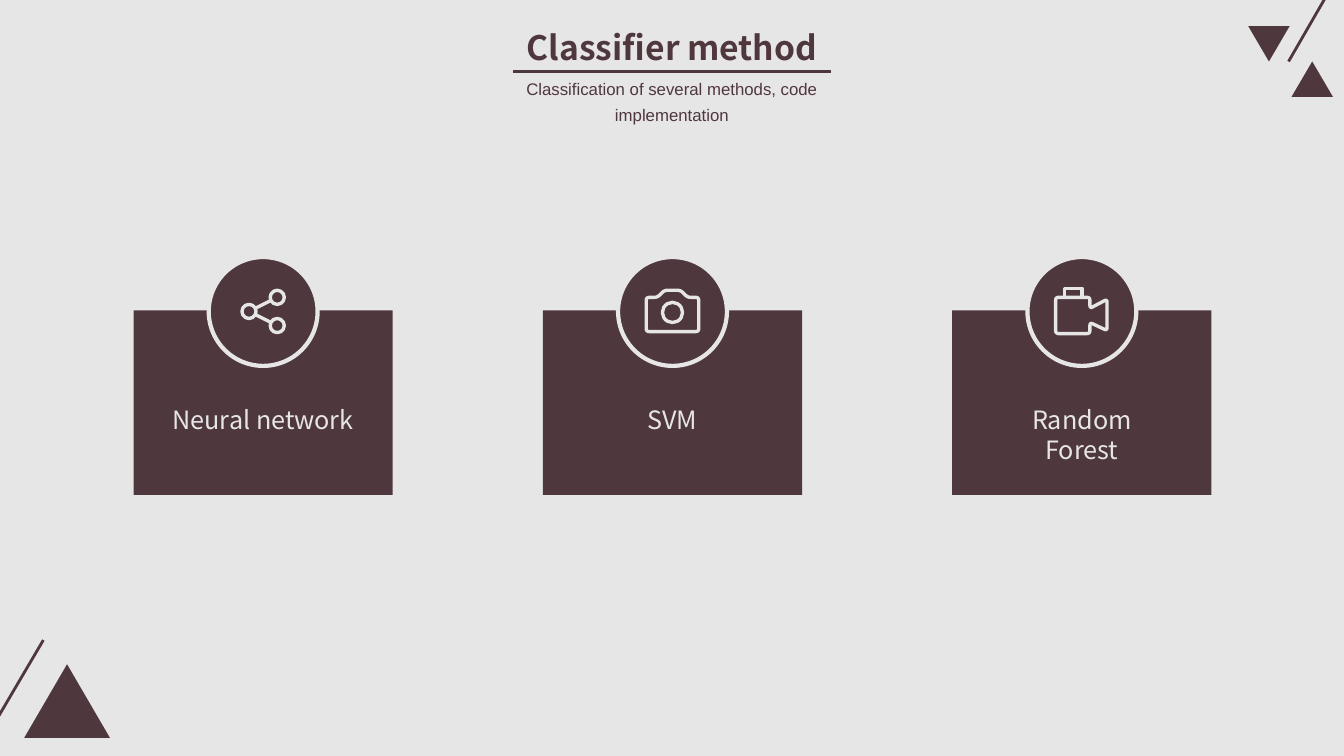
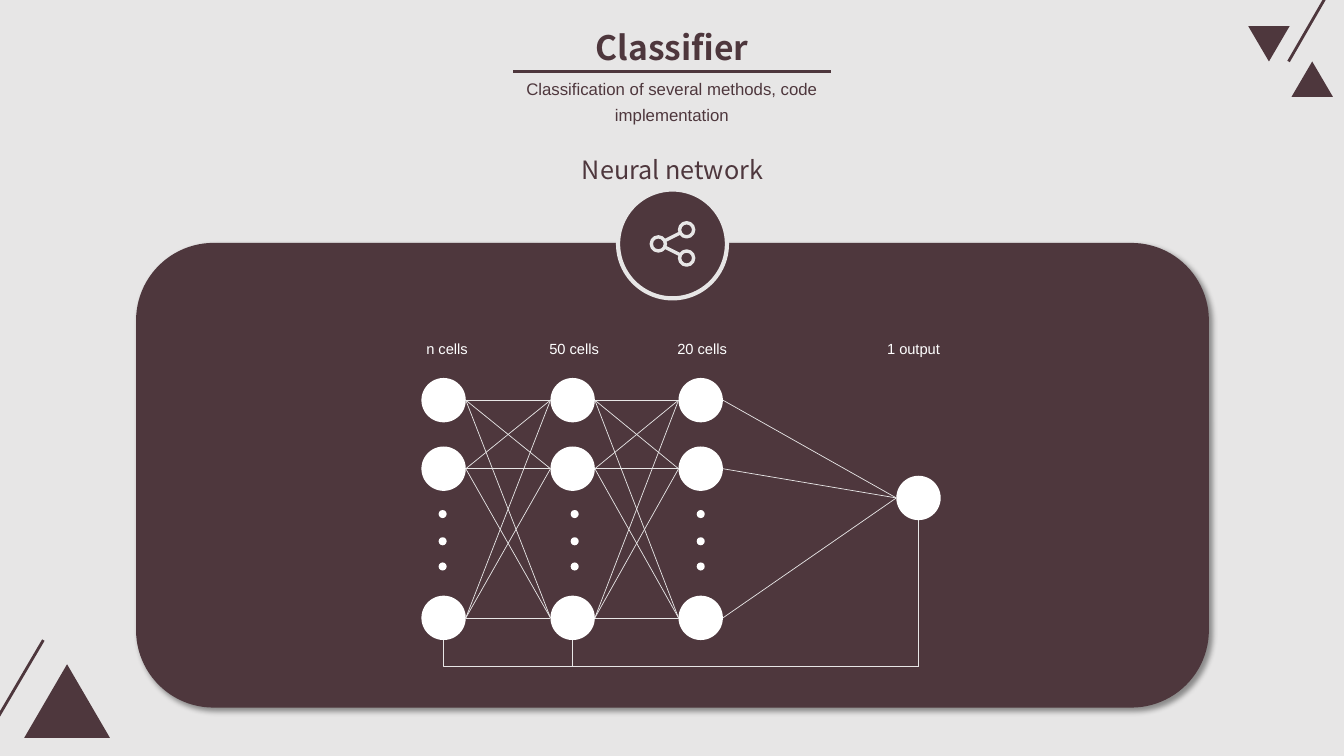
from dataclasses import dataclass
from itertools import pairwise, product

from lxml.etree import SubElement
from pptx import Presentation
from pptx.dml.color import RGBColor
from pptx.enum.shapes import MSO_CONNECTOR as Link, MSO_SHAPE as Preset
from pptx.enum.text import PP_ALIGN as Align
from pptx.oxml.ns import qn
from pptx.util import Inches, Pt


@dataclass(frozen=True)
class Theme:
    dark: str = "4E373D"
    light: str = "E7E6E6"
    white: str = "FFFFFF"
    heading_font: str = "Noto Sans CJK SC"
    body_font: str = "Arial"
    title_size: float = 24
    label_size: float = 18
    subtitle_size: float = 12
    cell_size: float = 10.5
    rule_width: float = 2
    ring_width: float = 3
    icon_width: float = 2.4
    link_width: float = 0.5


THEME = Theme()
CENTER = 6.67
BADGE_SIZE = 1.08
NODE_SIZE = 0.44
DOT_SIZE = 0.08

# Icon outlines, as offsets from the badge centre
CAMERA_BODY = [(-0.26, -0.14), (-0.15, -0.14), (-0.08, -0.21), (0.08, -0.21),
               (0.15, -0.14), (0.26, -0.14), (0.26, 0.2), (-0.26, 0.2)]
VIDEO_BODY = [(-0.26, -0.14), (0.08, -0.14), (0.08, -0.03), (0.25, -0.12),
              (0.25, 0.19), (0.08, 0.11), (0.08, 0.22), (-0.26, 0.22)]
VIDEO_HANDLE = [(-0.17, -0.14), (-0.17, -0.23), (0, -0.23), (0, -0.14)]
SHARE_HUB = (-0.14, 0)
SHARE_ENDS = [(0.14, -0.14), (0.14, 0.14)]

# Network: node centre, dot centre, label and label left of each layer
LAYERS = [(4.4, 4.39, "n cells", 4.13),
          (5.68, 5.7, "50 cells", 5.35),
          (6.95, 6.95, "20 cells", 6.62)]
ROWS = [3.97, 4.65, 6.13]
DOT_ROWS = [5.1, 5.37, 5.62]
OUTPUT = (9.11, 4.94)
FEEDBACK_DROP = 0.26


def color(value):
    return RGBColor.from_string(value)


# Basic elements
def style_shape(shape, fill=None, line=None, line_width=0):
    shape.shadow.inherit = False
    if fill:
        shape.fill.solid()
        shape.fill.fore_color.rgb = color(fill)
    else:
        shape.fill.background()
    if line:
        shape.line.color.rgb = color(line)
        shape.line.width = Pt(line_width)
    else:
        shape.line.fill.background()
    return shape


def add_preset(slide, preset, left, top, width, height, **style):
    shape = slide.shapes.add_shape(
        preset, Inches(left), Inches(top), Inches(width), Inches(height))
    return style_shape(shape, **style)


def add_circle(slide, x, y, size, **style):
    return add_preset(slide, Preset.OVAL, x - size / 2, y - size / 2, size, size, **style)


def add_line(slide, start, end, line, line_width, kind=Link.STRAIGHT):
    connector = slide.shapes.add_connector(kind, *map(Inches, (*start, *end)))
    connector.line.color.rgb = color(line)
    connector.line.width = Pt(line_width)
    SubElement(connector._element.spPr, qn("a:effectLst"))
    return connector


def add_feedback(slide, start, end):
    """Elbow that drops below its start, runs right and rises to its end."""
    run, rise = end[0] - start[0], start[1] - end[1]
    x, y = (start[0] + end[0]) / 2, (start[1] + end[1]) / 2
    connector = add_line(slide, (x + rise / 2, y + run / 2), (x - rise / 2, y - run / 2),
                         THEME.light, THEME.link_width, kind=Link.ELBOW)
    properties = connector._element.spPr
    properties.find(qn("a:xfrm")).set("rot", str(90 * 60000))
    adjustments = properties.find(qn("a:prstGeom")).find(qn("a:avLst"))
    SubElement(adjustments, qn("a:gd"), name="adj1",
               fmla=f"val {round(-FEEDBACK_DROP / rise * 100000)}")


def add_text(slide, text, left, top, width, height, *, size, fill,
             font=THEME.heading_font, bold=False, align=Align.CENTER, spacing=None):
    box = slide.shapes.add_textbox(Inches(left), Inches(top), Inches(width), Inches(height))
    box.text_frame.word_wrap = True
    paragraph = box.text_frame.paragraphs[0]
    paragraph.alignment = align
    if spacing:
        paragraph.line_spacing = spacing
    run = paragraph.add_run()
    run.text = text
    run.font.name, run.font.size, run.font.bold = font, Pt(size), bold
    run.font.color.rgb = color(fill)


# Icons
def round_corners(points, radius=0.03, steps=4):
    """Replace each corner of a closed outline by a short curve."""
    def toward(corner, other):
        length = ((other[0] - corner[0]) ** 2 + (other[1] - corner[1]) ** 2) ** 0.5
        return [c + (o - c) * radius / length for c, o in zip(corner, other)]

    curve = []
    for index, corner in enumerate(points):
        first = toward(corner, points[index - 1])
        last = toward(corner, points[(index + 1) % len(points)])
        for step in range(steps + 1):
            t = step / steps
            curve.append([(1 - t) ** 2 * a + 2 * t * (1 - t) * b + t * t * c
                          for a, b, c in zip(first, corner, last)])
    return curve


def add_outline(slide, x, y, points, close=True):
    places = [(Inches(x + dx), Inches(y + dy)) for dx, dy in points]
    builder = slide.shapes.build_freeform(*places[0])
    builder.add_line_segments(places[1:], close=close)
    style_shape(builder.convert_to_shape(), line=THEME.light, line_width=THEME.icon_width)


def add_icon_ring(slide, x, y, size):
    add_circle(slide, x, y, size, fill=THEME.dark,
               line=THEME.light, line_width=THEME.icon_width)


def draw_share(slide, x, y):
    hub = (x + SHARE_HUB[0], y + SHARE_HUB[1])
    ends = [(x + dx, y + dy) for dx, dy in SHARE_ENDS]
    for end in ends:
        add_line(slide, hub, end, THEME.light, THEME.icon_width)
    for place in (hub, *ends):
        add_icon_ring(slide, *place, 0.14)


def draw_camera(slide, x, y):
    add_outline(slide, x, y, round_corners(CAMERA_BODY))
    add_icon_ring(slide, x, y + 0.01, 0.2)


def draw_video(slide, x, y):
    add_outline(slide, x, y, round_corners(VIDEO_BODY))
    add_outline(slide, x, y, VIDEO_HANDLE, close=False)


def add_badge(slide, x, y, draw_icon):
    add_circle(slide, x, y, BADGE_SIZE, fill=THEME.dark,
               line=THEME.light, line_width=THEME.ring_width)
    draw_icon(slide, x, y)


# Shared slide parts
def add_corners(slide):
    for left, top, width, height, turn in [(0.24, 6.59, 0.85, 0.73, 0),
                                           (12.38, 0.26, 0.41, 0.35, 180),
                                           (12.81, 0.61, 0.41, 0.35, 0)]:
        triangle = add_preset(slide, Preset.ISOSCELES_TRIANGLE, left, top, width, height,
                              fill=THEME.dark)
        triangle.rotation = turn
    for start, end in [((0.43, 6.35), (-0.14, 7.32)), ((13.19, -0.1), (12.78, 0.61))]:
        add_line(slide, start, end, THEME.dark, THEME.rule_width)


def add_header(slide, title):
    add_text(slide, title, 4.73, 0.22, 3.87, 0.5,
             size=THEME.title_size, fill=THEME.dark, bold=True)
    add_text(slide, "Classification of several methods, code implementation",
             4.73, 0.67, 3.87, 0.62, size=THEME.subtitle_size, fill=THEME.dark,
             font=THEME.body_font, spacing=1.3)
    add_line(slide, (5.09, 0.71), (8.24, 0.71), THEME.dark, THEME.rule_width)


def start_slide(presentation):
    slide = presentation.slides.add_slide(presentation.slide_layouts[6])
    slide.background.fill.solid()
    slide.background.fill.fore_color.rgb = color(THEME.light)
    return slide


# Method cards
def add_card(slide, x, label, label_width, draw_icon):
    add_preset(slide, Preset.RECTANGLE, x - 2.57 / 2, 3.08, 2.57, 1.83, fill=THEME.dark)
    add_badge(slide, x, 3.09, draw_icon)
    add_text(slide, label, x - label_width / 2, 3.96, label_width, 0.4,
             size=THEME.label_size, fill=THEME.light)


# Network diagram
def add_panel(slide):
    panel = add_preset(slide, Preset.ROUNDED_RECTANGLE, 1.35, 2.41, 10.64, 4.61,
                       fill=THEME.dark)
    effects = panel._element.spPr.find(qn("a:effectLst"))
    shadow = SubElement(effects, qn("a:outerShdw"), blurRad=str(int(Pt(4))),
                        dist=str(int(Pt(3))), dir=str(45 * 60000), algn="tl",
                        rotWithShape="0")
    tint = SubElement(shadow, qn("a:srgbClr"), val="000000")
    SubElement(tint, qn("a:alpha"), val="40000")


def add_cell_label(slide, text, left):
    add_text(slide, text, left, 3.32, 0.89, 0.36, size=THEME.cell_size, fill=THEME.white,
             font=THEME.body_font, align=Align.JUSTIFY)


def add_network(slide):
    radius = NODE_SIZE / 2
    columns = []
    for x, dot_x, label, label_left in LAYERS:
        columns.append([(x, y) for y in ROWS])
        for y in DOT_ROWS:
            add_circle(slide, dot_x, y, DOT_SIZE, fill=THEME.white)
        add_cell_label(slide, label, label_left)
    columns.append([OUTPUT])
    add_cell_label(slide, "1 output", 8.7)

    for column in columns:
        for x, y in column:
            add_circle(slide, x, y, NODE_SIZE, fill=THEME.white)
    for sources, targets in pairwise(columns):
        for (x1, y1), (x2, y2) in product(sources, targets):
            add_line(slide, (x1 + radius, y1), (x2 - radius, y2),
                     THEME.light, THEME.link_width)
    for column in columns[:2]:
        x, y = column[-1]
        add_feedback(slide, (x, y + radius), (OUTPUT[0], OUTPUT[1] + radius))


def build_methods(presentation):
    slide = start_slide(presentation)
    add_corners(slide)
    add_header(slide, "Classifier method")
    cards = [("Neural network", 2.24, draw_share),
             ("SVM", 1.48, draw_camera),
             ("Random Forest", 1.38, draw_video)]
    for index, card in enumerate(cards):
        add_card(slide, CENTER + (index - 1) * 4.06, *card)


def build_network(presentation):
    slide = start_slide(presentation)
    add_panel(slide)
    add_corners(slide)
    add_header(slide, "Classifier")
    add_text(slide, "Neural network", CENTER - 1.12, 1.48, 2.24, 0.4,
             size=THEME.label_size, fill=THEME.dark)
    add_badge(slide, CENTER, 2.42, draw_share)
    add_network(slide)


def main():
    presentation = Presentation()
    presentation.slide_width, presentation.slide_height = Inches(13.33), Inches(7.5)
    build_methods(presentation)
    build_network(presentation)
    presentation.save("out.pptx")


if __name__ == "__main__":
    main()
